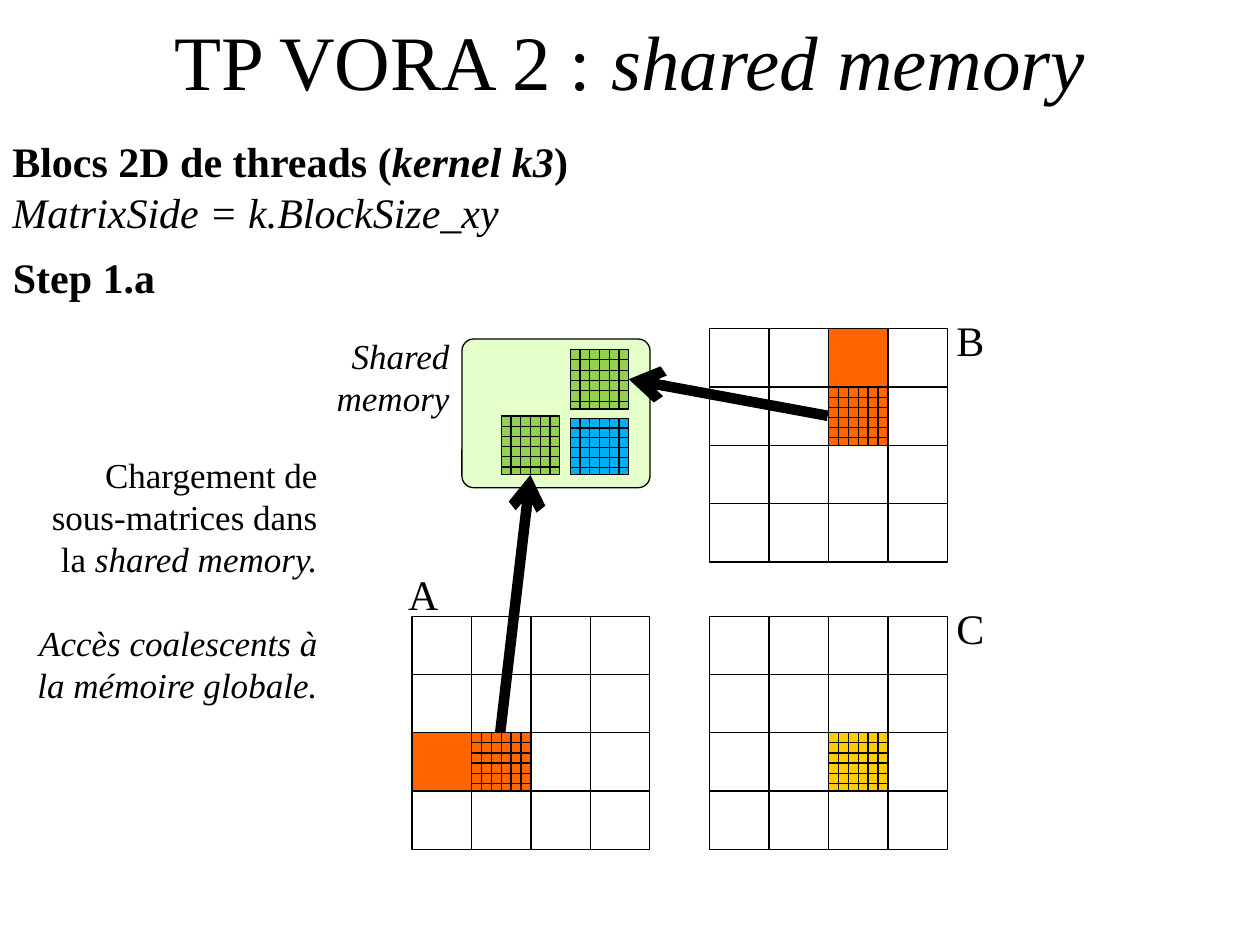
import dataclasses

import pptx
import pptx.dml.color
import pptx.enum.shapes
import pptx.enum.text
import pptx.oxml.ns
import pptx.util
from lxml import etree

Pt = pptx.util.Pt
ALIGN = pptx.enum.text.PP_ALIGN


@dataclasses.dataclass(frozen=True)
class Theme:
    font: str = "Times New Roman"
    title_size: float = 44
    heading_size: float = 24
    body_size: float = 20
    thin: float = 0.75
    thick: float = 6
    black: str = "000000"
    white: str = "FFFFFF"
    panel: str = "CCFF99"
    source: str = "FF6600"
    loaded: str = "92D050"
    partial: str = "00B0F0"
    result: str = "FFCC00"


THEME = Theme()
MATRIX_SIZE = (136, 133.2)
CELLS = 4
TILE_COLUMN_STEP = 1 / 6
TILE_ROW_STEP = 0.174
MATRICES = {"C": (405.4, 352.1), "B": (405.4, 187.9), "A": (235.4, 352.1)}
LABELS = {"B": (539, 176.4, 31), "A": (225.7, 321.5, 32.4), "C": (539, 340.6, 31)}


def rgb(value):
    return pptx.dml.color.RGBColor.from_string(value)


def apply_format(target, values):
    for name, value in values.items():
        setattr(target, name, value)


def add_child(parent, tag, **attributes):
    return etree.SubElement(parent, pptx.oxml.ns.qn(tag), attributes)


def add_box(shapes, box, color, kind=pptx.enum.shapes.MSO_SHAPE.RECTANGLE):
    shape = shapes.add_shape(kind, *map(Pt, box))
    shape.shadow.inherit = False
    shape.fill.solid()
    shape.fill.fore_color.rgb = rgb(color)
    shape.line.color.rgb = rgb(THEME.black)
    shape.line.width = Pt(THEME.thin)
    return shape


def add_line(shapes, start, end, width=THEME.thin, arrow=False):
    line = shapes.add_connector(pptx.enum.shapes.MSO_CONNECTOR.STRAIGHT,
                                *map(Pt, (*start, *end)))
    line.line.color.rgb = rgb(THEME.black)
    line.line.width = Pt(width)
    if arrow:
        add_child(line.line._get_or_add_ln(), "a:tailEnd", type="arrow")
    add_child(line._element.spPr, "a:effectLst")


def add_grid(slide, box, color, column_step, row_step, inner_lines):
    """Group a box with inner lines; the steps are fractions of its width and height."""
    left, top, width, height = box
    shapes = slide.shapes.add_group_shape().shapes
    add_box(shapes, box, color)
    for index in range(1, inner_lines + 1):
        x = left + index * column_step * width
        y = top + index * row_step * height
        add_line(shapes, (x, top), (x, top + height))
        add_line(shapes, (left, y), (left + width, y))


def add_matrix(slide, name):
    add_grid(slide, (*MATRICES[name], *MATRIX_SIZE), THEME.white,
             1 / CELLS, 1 / CELLS, CELLS - 1)


def add_tile(slide, box, color):
    add_grid(slide, box, color, TILE_COLUMN_STEP, TILE_ROW_STEP, 5)


def cell_box(name, column, row):
    left, top = MATRICES[name]
    width, height = (length / CELLS for length in MATRIX_SIZE)
    return left + column * width, top + row * height, width, height


def write_paragraphs(frame, paragraphs, size, align, gap=0):
    """Fill a text frame with paragraphs, each a list of (text, font format) runs."""
    for index, runs in enumerate(paragraphs):
        paragraph = frame.add_paragraph() if index else frame.paragraphs[0]
        paragraph.alignment = align
        paragraph.space_before = Pt(gap if index else 0)
        for text, style in runs:
            run = paragraph.add_run()
            run.text = text
            apply_format(run.font, {"name": THEME.font, "size": Pt(size), **style})
            run.font.color.rgb = rgb(THEME.black)


def add_text(slide, box, paragraphs, size, align, wrap=False, gap=0):
    frame = slide.shapes.add_textbox(*map(Pt, box)).text_frame
    apply_format(frame, {"word_wrap": wrap,
                         "auto_size": pptx.enum.text.MSO_AUTO_SIZE.SHAPE_TO_FIT_TEXT})
    write_paragraphs(frame, paragraphs, size, align, gap)


def set_title(slide, runs):
    title = slide.shapes.title
    apply_format(title, {"left": Pt(54), "top": Pt(2), "width": Pt(612), "height": Pt(64)})
    apply_format(title.text_frame, {
        "word_wrap": True,
        "auto_size": pptx.enum.text.MSO_AUTO_SIZE.NONE,
        "vertical_anchor": pptx.enum.text.MSO_ANCHOR.MIDDLE})
    write_paragraphs(title.text_frame, [runs], THEME.title_size, ALIGN.CENTER)


def add_shared_memory_panel(slide):
    panel = add_box(slide.shapes, (264, 193.7, 107.5, 85), THEME.panel,
                    pptx.enum.shapes.MSO_SHAPE.ROUNDED_RECTANGLE)
    panel.adjustments[0] = 0.08
    color = panel._element.spPr.find(".//" + pptx.oxml.ns.qn("a:srgbClr"))
    add_child(color, "a:alpha", val="50000")


def add_diagram(slide):
    add_shared_memory_panel(slide)
    for name in MATRICES:
        add_matrix(slide, name)
    for start, end in (((285.8, 419), (303.1, 271.4)), ((473, 237.6), (359.3, 216.7))):
        add_line(slide.shapes, start, end, THEME.thick, arrow=True)
    for box, color in (
        (cell_box("C", 2, 2), THEME.result),
        (cell_box("B", 2, 1), THEME.source),
        (cell_box("A", 1, 2), THEME.source),
        ((286.4, 237.8, 33.4, 33.4), THEME.loaded),
        ((325.9, 199.7, 33.4, 34), THEME.loaded),
        ((325.9, 239, 33.4, 32.2), THEME.partial),
    ):
        add_tile(slide, box, color)
    for cell in (("B", 2, 0), ("A", 0, 2)):
        add_box(slide.shapes, cell_box(*cell), THEME.source)


def add_captions(slide):
    bold, italic = {"bold": True}, {"italic": True}
    add_text(slide, (182.6, 187.6, 81.4, 55.4), [[("Shared", italic)], [("memory", italic)]],
             THEME.body_size, ALIGN.RIGHT)
    for name, (left, top, width) in LABELS.items():
        add_text(slide, (left, top, width, 36), [[(name, {})]],
                 THEME.heading_size, ALIGN.CENTER)
    add_text(slide, (8.6, 255.6, 180, 152.6), [
        [("Chargement de sous-matrices dans la ", {}), ("shared memory.", italic)],
        [("Accès coalescents à la mémoire globale.", italic)],
    ], THEME.body_size, ALIGN.RIGHT, wrap=True, gap=24)
    add_text(slide, (0, 140.4, 96, 36), [[("Step 1.a", bold)]],
             THEME.heading_size, ALIGN.CENTER)
    add_text(slide, (0, 74, 360, 65.5), [
        [("Blocs 2D de threads (", bold), ("kernel k3", {**bold, **italic}), (")", bold)],
        [("MatrixSide = k.BlockSize_xy", italic)],
    ], THEME.heading_size, ALIGN.LEFT, wrap=True)


def main():
    presentation = pptx.Presentation()
    apply_format(presentation, {"slide_width": Pt(720), "slide_height": Pt(540)})
    slide = presentation.slides.add_slide(presentation.slide_layouts[5])
    set_title(slide, [("TP VORA 2 : ", {}), ("shared memory", {"italic": True})])
    add_diagram(slide)
    add_captions(slide)
    presentation.save("out.pptx")


if __name__ == "__main__":
    main()
